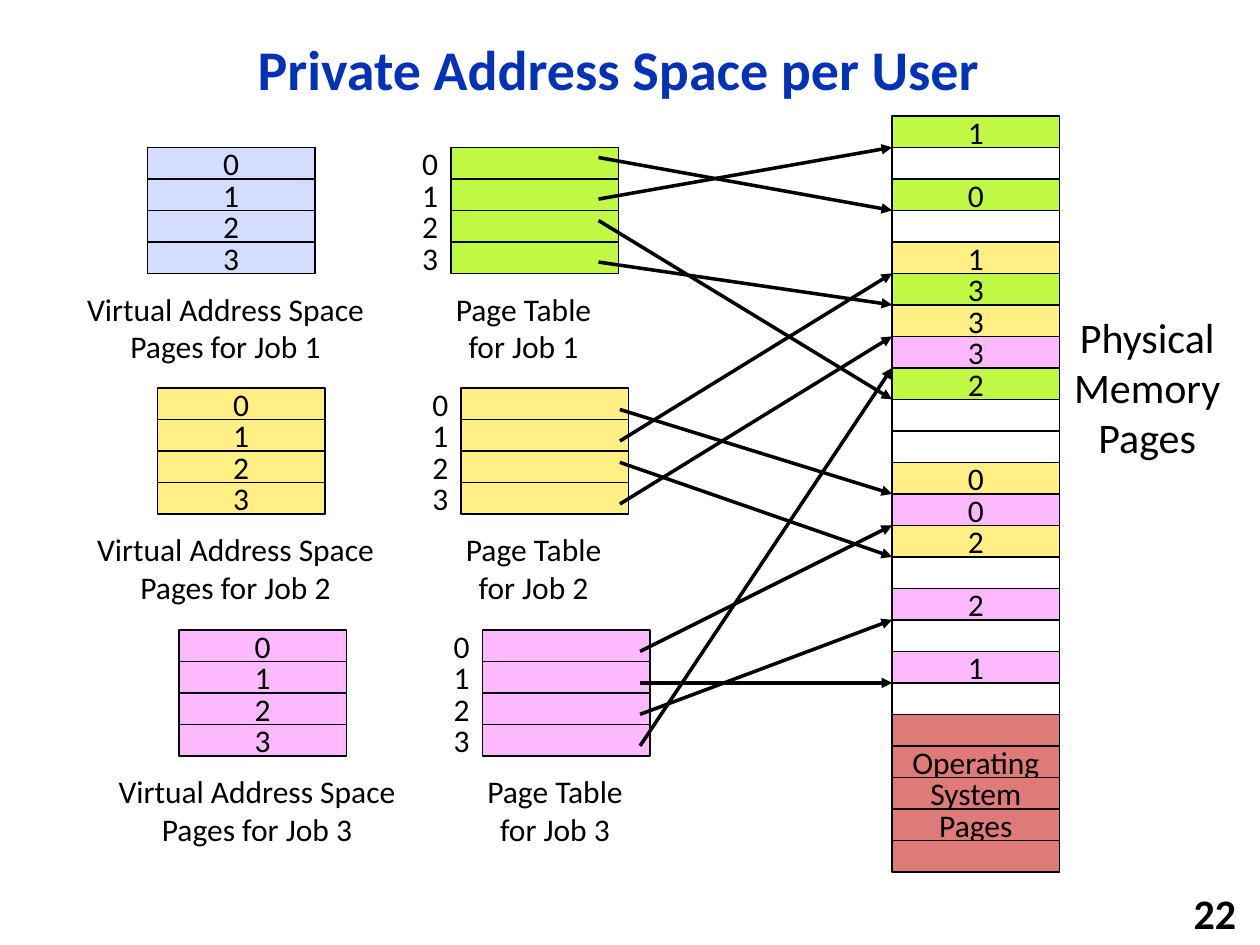
from lxml.etree import SubElement
from pptx import Presentation
from pptx.dml.color import RGBColor
from pptx.enum.shapes import MSO_CONNECTOR, MSO_SHAPE
from pptx.enum.text import MSO_ANCHOR as Anchor, MSO_AUTO_SIZE as AutoSize, PP_ALIGN as Align
from pptx.oxml.ns import qn
from pptx.util import Inches, Pt

BLACK = RGBColor(0x00, 0x00, 0x00)
WHITE = RGBColor(0xFF, 0xFF, 0xFF)
TITLE_BLUE = RGBColor(0x03, 0x32, 0xB7)
PALE_BLUE = RGBColor(0xD4, 0xDD, 0xFE)
GREEN = RGBColor(0xBF, 0xF9, 0x44)
YELLOW = RGBColor(0xFF, 0xEF, 0x85)
PINK = RGBColor(0xFD, 0xB9, 0xFE)
RED = RGBColor(0xDE, 0x7B, 0x78)

TITLE = "Private Address Space per User"
PAGES = ["0", "1", "2", "3"]
# left and top of the virtual pages, their colour, the job's colour,
# arrow start x, and arrow start below the top for each page
JOBS = {
    1: (1.17, 1.17, PALE_BLUE, GREEN, 4.75, [0.08, 0.41, 0.58, 0.91]),
    2: (1.25, 3.08, YELLOW, YELLOW, 4.92, [0.17, 0.42, 0.59, 0.92]),
    3: (1.42, 5.00, PINK, PINK, 5.08, [0.17, 0.42, 0.67, 0.92]),
}
# physical frames from top to bottom: (job, page), or None when free
FRAMES = [
    (1, "1"), None, (1, "0"), None, (2, "1"), (1, "3"), (2, "3"), (3, "3"),
    (1, "2"), None, None, (2, "0"), (3, "0"), (2, "2"), None, (3, "2"),
    None, (3, "1"), None,
]
SYSTEM_FRAMES = ["", "Operating", "System", "Pages", ""]

PAGE_W, PAGE_H = 1.33, 0.25
MEMORY_X, MEMORY_Y = 7.08, 0.92


def write(shape, text, size=18, color=BLACK, bold=False, align=Align.CENTER,
          anchor=Anchor.TOP, wrap=True, inset=None, spacing=None):
    frame = shape.text_frame
    frame.text = text
    frame.word_wrap = wrap
    frame.auto_size = AutoSize.NONE
    frame.vertical_anchor = anchor
    if inset is not None:
        frame.margin_left = frame.margin_right = Inches(inset)
        frame.margin_top = frame.margin_bottom = Inches(inset)
    for paragraph in frame.paragraphs:
        paragraph.alignment = align
        if spacing:
            paragraph.line_spacing = spacing
        font = paragraph.font
        font.name, font.size, font.bold = "Calibri", Pt(size), bold
        font.color.rgb = color
        for run in paragraph.runs:
            run.font.name, run.font.size, run.font.bold = "Calibri", Pt(size), bold
            run.font.color.rgb = color


def add_text(shapes, x, y, w, h, text, **text_format):
    box = shapes.add_textbox(Inches(x), Inches(y), Inches(w), Inches(h))
    write(box, text, **text_format)


def add_page(shapes, x, y, label, fill):
    page = shapes.add_shape(MSO_SHAPE.RECTANGLE, Inches(x), Inches(y),
                            Inches(PAGE_W), Inches(PAGE_H))
    page.shadow.inherit = False
    page.fill.solid()
    page.fill.fore_color.rgb = fill
    page.line.color.rgb = BLACK
    page.line.width = Pt(1)
    if label:
        write(page, label, anchor=Anchor.MIDDLE, wrap=False, inset=0)


def add_arrow(shapes, x1, y1, x2, y2):
    arrow = shapes.add_connector(MSO_CONNECTOR.STRAIGHT, Inches(x1), Inches(y1),
                                 Inches(x2), Inches(y2))
    arrow.line.color.rgb = BLACK
    arrow.line.width = Pt(2)
    SubElement(arrow.line._get_or_add_ln(), qn("a:tailEnd"), type="triangle")
    SubElement(arrow._element.spPr, qn("a:effectLst"))


def add_memory(shapes):
    cells = [(frame[1], JOBS[frame[0]][3]) if frame else ("", WHITE) for frame in FRAMES]
    cells += [(label, RED) for label in SYSTEM_FRAMES]
    for row, (label, fill) in enumerate(cells):
        add_page(shapes, MEMORY_X, MEMORY_Y + row * PAGE_H, label, fill)
    add_text(shapes, 8.21, 2.42, 1.79, 1.31, "Physical Memory\nPages", size=24)


def add_job(shapes, job):
    """Draw a job's virtual pages, its page table and the arrows to its frames."""
    x, y, page_fill, table_fill, arrow_x, starts = JOBS[job]
    virtual, numbers, table = (shapes.add_group_shape().shapes for _ in range(3))
    for row, page in enumerate(PAGES):
        top = y + row * PAGE_H
        add_page(virtual, x, top, page, page_fill)
        add_text(numbers, x + 2.08, top, 0.33, PAGE_H, page,
                 anchor=Anchor.MIDDLE, wrap=False, inset=0)
        add_page(table, x + 2.41, top, "", table_fill)
    add_text(shapes, x - 0.59, y + 1.08, 2.42, 0.7,
             f"Virtual Address Space Pages for Job {job}")
    add_text(shapes, x + 2.33, y + 1.08, 1.31, 0.7,
             f"Page Table\nfor Job {job}", wrap=False)
    for page, start in zip(PAGES, starts):
        frame_bottom = MEMORY_Y + (FRAMES.index((job, page)) + 1) * PAGE_H
        add_arrow(shapes, arrow_x, y + start, MEMORY_X, frame_bottom)


def main():
    prs = Presentation()
    prs.slide_width, prs.slide_height = Inches(10), Inches(7.5)
    slide = prs.slides.add_slide(prs.slide_layouts[5])
    shapes = slide.shapes

    title = shapes.title
    title.left, title.top = Inches(0.92), Inches(0.17)
    title.width, title.height = Inches(7.98), Inches(0.81)
    write(title, TITLE, size=32, color=TITLE_BLUE, bold=True,
          anchor=Anchor.MIDDLE, spacing=0.9)

    add_memory(shapes)
    for job in JOBS:
        add_job(shapes, job)
    add_text(shapes, 7.83, 7.08, 2.08, 0.32, "22", size=24, bold=True,
             align=Align.RIGHT, anchor=Anchor.MIDDLE, wrap=False)
    prs.save("out.pptx")


if __name__ == "__main__":
    main()
